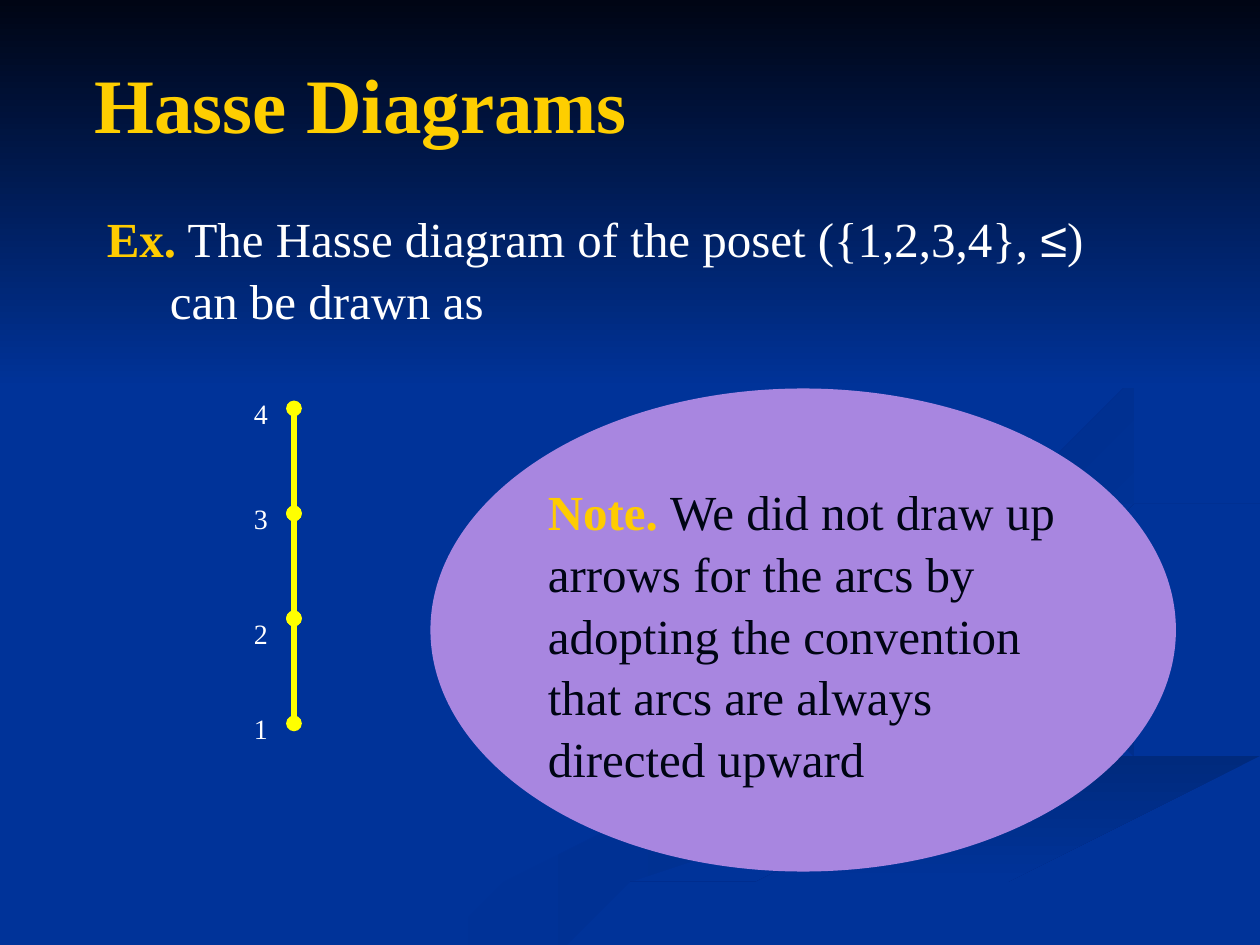
from itertools import pairwise

from lxml.etree import SubElement
from pptx import Presentation
from pptx.dml.color import RGBColor
from pptx.enum.shapes import MSO_CONNECTOR, MSO_SHAPE
from pptx.enum.text import MSO_ANCHOR, PP_ALIGN
from pptx.oxml.ns import qn
from pptx.util import Inches, Pt

CELL = Inches(1) // 12  # the slide is a grid of 120 columns by 90 rows
NAVY, BLUE, GOLD, WHITE, YELLOW, LILAC = "000514", "003399", "FFCC00", "FFFFFF", "FFFF00", "A886E0"
SERIF = "Times New Roman"

# Background ribbons: first colour, last colour, clockwise angle, outline in inches
RIBBONS = [
    (BLUE, "002E8B", 0, [
        (7.9, 5.6), (7.4, 6), (5.8, 6.4), (4.2, 6.9), (3, 7.5), (3.6, 7.5), (5, 6.9), (7.7, 6.1)]),
    (BLUE, "002E8B", 45, [
        (9.43, 5.7), (9.05, 5.4), (8.4, 5.36), (9, 5.57), (9.17, 5.8), (8.94, 6.05), (9.35, 5.87)]),
    ("002A7D", BLUE, 90, [
        (5.03, 7.49), (5.71, 7.49), (7.5, 6.7), (9.98, 6.09), (9.98, 5.81), (7.6, 6.5), (6, 7.06)]),
    ("002D86", BLUE, 45, [
        (7.8, 4.6), (8.26, 4.96), (8.1, 4.6), (8.8, 4.39), (9.98, 4.2), (9.98, 4.02), (8.6, 4.24)]),
    ("002B82", BLUE, 45, [
        (6.8, 4.3), (8.25, 4.02), (8.76, 3.78), (8.94, 3.44), (8.8, 3.08), (8.88, 3.41),
        (8.5, 3.74), (6.3, 4.25), (5.8, 4.6), (6.2, 5)]),
]


def colour(value):
    return RGBColor.from_string(value)


def cells(*counts):
    return [round(count * CELL) for count in counts]


def paint(shape, first, last=None, angle=0):
    """Fill a shape with one colour or a clockwise-angled gradient, without outline."""
    shape.shadow.inherit = False
    shape.line.fill.background()
    if last is None:
        shape.fill.solid()
        shape.fill.fore_color.rgb = colour(first)
        return
    shape.fill.gradient()
    shape.fill.gradient_angle = -angle % 360
    for stop, value in zip(shape.fill.gradient_stops, (first, last)):
        stop.color.rgb = colour(value)


def add_run(paragraph, text, size=28, value=WHITE, bold=False, font=SERIF):
    run = paragraph.add_run()
    run.text = text
    run.font.size, run.font.bold, run.font.name = Pt(size), bold, font
    run.font.color.rgb = colour(value)


def add_text(slide, box, *runs, hanging=0):
    """Add a text box; each run is its text and a dict of its format."""
    frame = slide.shapes.add_textbox(*cells(*box)).text_frame
    frame.word_wrap = True
    paragraph = frame.paragraphs[0]
    paragraph.line_spacing = 1.05
    if hanging:
        properties = paragraph._p.get_or_add_pPr()
        properties.set("marL", str(hanging * CELL))
        properties.set("indent", str(-hanging * CELL))
    for text, style in runs:
        add_run(paragraph, text, **style)


def add_background(slide, band):
    slide.background.fill.solid()
    slide.background.fill.fore_color.rgb = colour(BLUE)
    for first, last, angle, points in RIBBONS:
        builder = slide.shapes.build_freeform(*points[0], scale=Inches(1))
        builder.add_line_segments(points[1:], close=True)
        paint(builder.convert_to_shape(), first, last, angle)
    paint(slide.shapes.add_shape(MSO_SHAPE.RECTANGLE, *cells(*band)), NAVY, BLUE, 90)


def add_title(slide, box, text):
    title = slide.shapes.title
    title.left, title.top, title.width, title.height = cells(*box)
    title.element.getparent().append(title.element)  # in front of the background
    frame = title.text_frame
    frame.vertical_anchor = MSO_ANCHOR.MIDDLE
    frame.margin_left = Inches(0.25)
    frame.paragraphs[0].alignment = PP_ALIGN.LEFT
    add_run(frame.paragraphs[0], text, size=44, value="FECE00", bold=True)


def add_note(slide, box):
    left, top, width, height = box
    paint(slide.shapes.add_shape(MSO_SHAPE.OVAL, *cells(*box)), LILAC)
    add_text(slide, (left + 10, top + 8, width - 19, height - 16.7),
             ("Note. ", {"value": GOLD, "bold": True}),
             ("We did not draw up arrows for the arcs by adopting the convention "
              "that arcs are always directed upward", {"value": NAVY}))


def add_chain(slide, box, labels):
    """Draw a vertical chain of nodes; labels maps each name to its row offset."""
    left, top, width, height = box
    step = height / (len(labels) - 1)
    rows = [top + 1.9 + step * index for index in range(len(labels))]
    for start, end in pairwise(rows):
        arc = slide.shapes.add_connector(
            MSO_CONNECTOR.STRAIGHT, *cells(left + 5, start, left + 5, end))
        arc.line.color.rgb = colour(YELLOW)
        arc.line.width = Pt(3)
        line = arc.line._get_or_add_ln()
        for tip in ("a:headEnd", "a:tailEnd"):
            SubElement(line, qn(tip), type="oval")
        SubElement(arc.element.spPr, qn("a:effectLst"))
    for label, offset in labels.items():
        add_text(slide, (left, top + offset, width, 4.4), (label, {"size": 16}))


def main():
    presentation = Presentation()
    presentation.slide_width, presentation.slide_height = cells(120, 90)
    slide = presentation.slides.add_slide(presentation.slide_layouts[5])
    add_background(slide, (0, 0, 120, 37))
    add_title(slide, (6, 3.6, 108, 12.4), "Hasse Diagrams")
    add_text(slide, (9, 19, 98, 14),
             ("Ex.", {"value": GOLD, "bold": True}),
             (" The Hasse diagram of the poset ({1,2,3,4}, ", {}),
             ("≤", {"font": "Arial"}),
             (") can be drawn as", {}), hanging=6)
    add_note(slide, (41, 37, 71, 46))
    add_chain(slide, (23, 37, 7, 30), {"4": 0, "3": 10, "2": 21, "1": 30})
    presentation.save("out.pptx")


if __name__ == "__main__":
    main()
